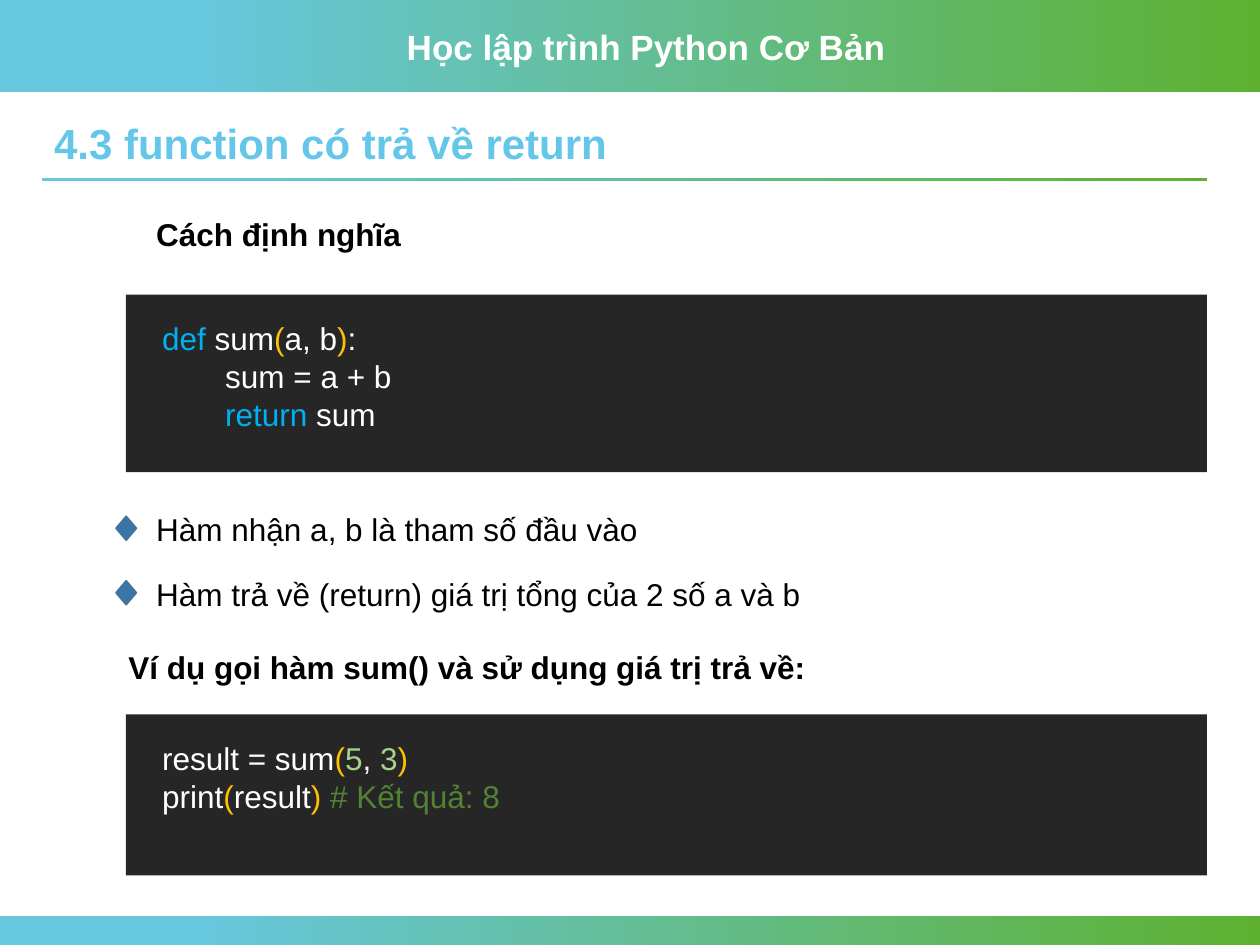
from dataclasses import dataclass

from pptx import Presentation
from pptx.dml.color import RGBColor
from pptx.enum.shapes import MSO_SHAPE
from pptx.util import Cm, Pt

COLORS = {
    "sky": "67C7DF", "leaf": "5EB130", "title": "64C7E9",
    "text": "000000", "white": "FFFFFF", "panel": "262626",
    "marker": "3A75A6", "marker_edge": "43739E",
    "keyword": "00B0F0", "bracket": "FFC000",
    "number": "A9D18E", "comment": "548235",
}
PANEL_LEFT, PANEL_WIDTH = 2.54, 21.79
BULLET_TOP, BULLET_STEP = 10.16, 1.3


@dataclass(frozen=True)
class Band:
    left: float
    top: float
    width: float
    height: float


@dataclass(frozen=True)
class Label:
    text: str
    left: float
    top: float
    width: float
    height: float = 1.02
    size: int = 18
    color: str = "text"
    bold: bool = True


@dataclass(frozen=True)
class CodeLine:
    tokens: tuple[tuple[str, str], ...]
    indent: float = 0


@dataclass(frozen=True)
class CodePanel:
    top: float
    height: float
    lines: tuple[CodeLine, ...]


BANDS = (
    Band(0, 0, 25.4, 1.85),
    Band(0, 18.47, 25.4, 0.58),
    Band(0.84, 3.58, 23.5, 0.07),
)
LABELS = (
    Label("Học lập trình Python Cơ Bản", 7.95, 0.38, 10.16, 1.12, 20, "white"),
    Label("4.3 function có trả về return", 0.84, 2.36, 23.5, 1.17, 24, "title"),
    Label("Cách định nghĩa", 2.9, 4.22, 19.63),
    Label("Ví dụ gọi hàm sum() và sử dụng giá trị trả về:", 2.34, 12.93, 21.31),
)
BULLETS = (
    "Hàm nhận a, b là tham số đầu vào",
    "Hàm trả về (return) giá trị tổng của 2 số a và b",
)
PANELS = (
    CodePanel(5.94, 3.58, (
        CodeLine((("def ", "keyword"), ("sum", "white"), ("(", "bracket"),
                  ("a, b", "white"), (")", "bracket"), (":", "white"))),
        CodeLine((("sum = a + b", "white"),), indent=1.27),
        CodeLine((("return ", "keyword"), ("sum", "white")), indent=1.27),
    )),
    CodePanel(14.4, 3.25, (
        CodeLine((("result = sum", "white"), ("(", "bracket"), ("5", "number"),
                  (", ", "white"), ("3", "number"), (")", "bracket"))),
        CodeLine((("print", "white"), ("(", "bracket"), ("result", "white"),
                  (") ", "bracket"), ("# Kết quả: 8", "comment"))),
    )),
)


def rgb(name: str) -> RGBColor:
    return RGBColor.from_string(COLORS[name])


def style_font(font, size: int, color: str, bold: bool = False) -> None:
    font.name = "Arial"
    font.size = Pt(size)
    font.bold = bold
    font.color.rgb = rgb(color)


def add_plain_shape(slide, kind, left: float, top: float, width: float, height: float):
    """Add a preset shape without shadow or outline."""
    shape = slide.shapes.add_shape(kind, Cm(left), Cm(top), Cm(width), Cm(height))
    shape.shadow.inherit = False
    shape.line.fill.background()
    return shape


def draw_band(slide, band: Band) -> None:
    shape = add_plain_shape(slide, MSO_SHAPE.RECTANGLE,
                            band.left, band.top, band.width, band.height)
    shape.fill.gradient()
    shape.fill.gradient_angle = 0
    stops = ((0.15, "sky"), (1, "leaf"))
    for stop, (position, color) in zip(shape.fill.gradient_stops, stops):
        stop.position = position
        stop.color.rgb = rgb(color)


def add_text_frame(slide, left: float, top: float, width: float, height: float):
    frame = slide.shapes.add_textbox(Cm(left), Cm(top), Cm(width), Cm(height)).text_frame
    frame.word_wrap = True
    return frame


def draw_label(slide, label: Label) -> None:
    frame = add_text_frame(slide, label.left, label.top, label.width, label.height)
    frame.text = label.text
    paragraph = frame.paragraphs[0]
    if label.color == "title":
        paragraph.line_spacing = 0.9
    style_font(paragraph.runs[0].font, label.size, label.color, label.bold)


def draw_bullet(slide, text: str, top: float) -> None:
    draw_label(slide, Label(text, 2.9, top, 21.31, bold=False))
    marker = add_plain_shape(slide, MSO_SHAPE.FLOWCHART_DECISION, 2.34, top + 0.25, 0.41, 0.48)
    marker.fill.solid()
    marker.fill.fore_color.rgb = rgb("marker")
    marker.line.color.rgb = rgb("marker_edge")
    marker.line.width = Pt(1)


def draw_code_panel(slide, panel: CodePanel) -> None:
    background = add_plain_shape(slide, MSO_SHAPE.RECTANGLE,
                                 PANEL_LEFT, panel.top, PANEL_WIDTH, panel.height)
    background.fill.solid()
    background.fill.fore_color.rgb = rgb("panel")
    frame = add_text_frame(slide, PANEL_LEFT + 0.48, panel.top + 0.37,
                           19.76, 0.26 + 0.77 * len(panel.lines))
    for index, line in enumerate(panel.lines):
        paragraph = frame.add_paragraph() if index else frame.paragraphs[0]
        if line.indent:
            paragraph.level = 1
            properties = paragraph._p.get_or_add_pPr()
            properties.set("marL", str(Cm(line.indent)))
            properties.set("indent", "0")
        for text, color in line.tokens:
            run = paragraph.add_run()
            run.text = text
            style_font(run.font, 18, color)


def main() -> None:
    presentation = Presentation()
    presentation.slide_width, presentation.slide_height = Cm(25.4), Cm(19.05)
    slide = presentation.slides.add_slide(presentation.slide_layouts[6])
    for band in BANDS:
        draw_band(slide, band)
    for label in LABELS:
        draw_label(slide, label)
    for panel in PANELS:
        draw_code_panel(slide, panel)
    for index, text in enumerate(BULLETS):
        draw_bullet(slide, text, BULLET_TOP + index * BULLET_STEP)
    presentation.save("out.pptx")


if __name__ == "__main__":
    main()
